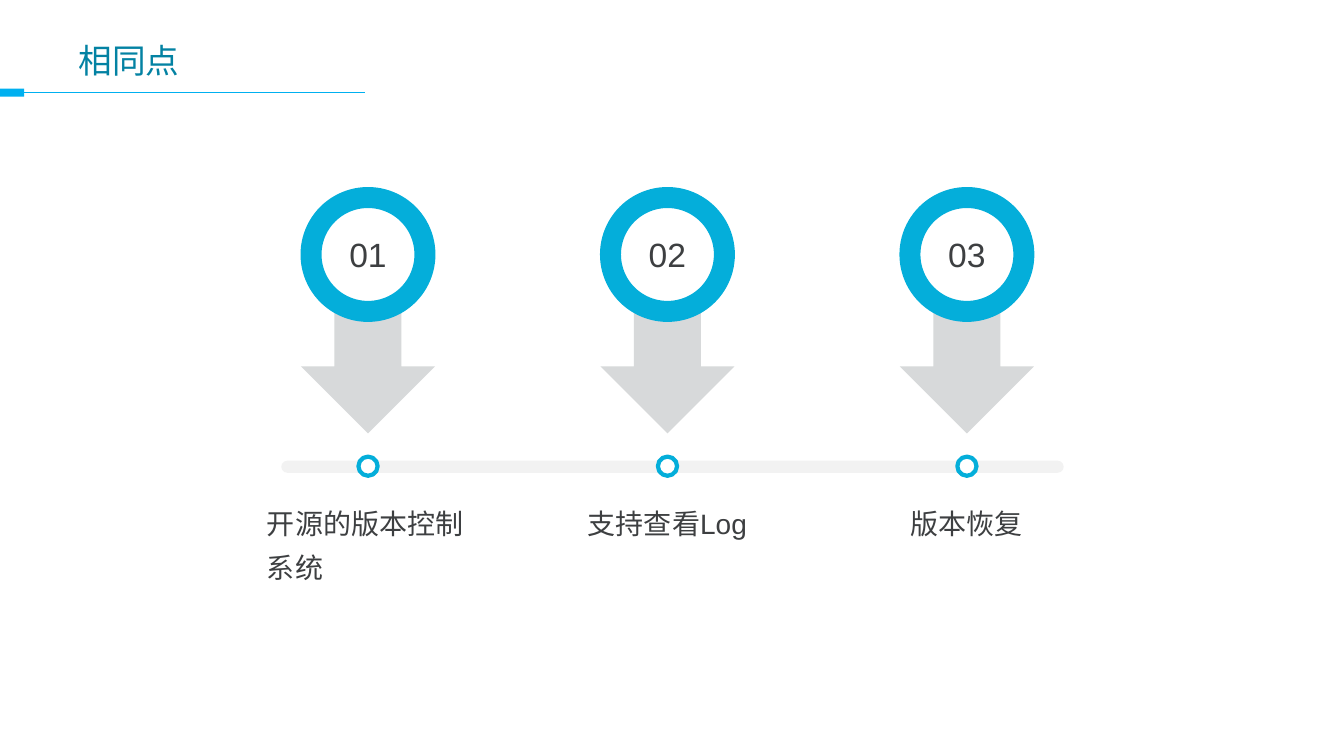
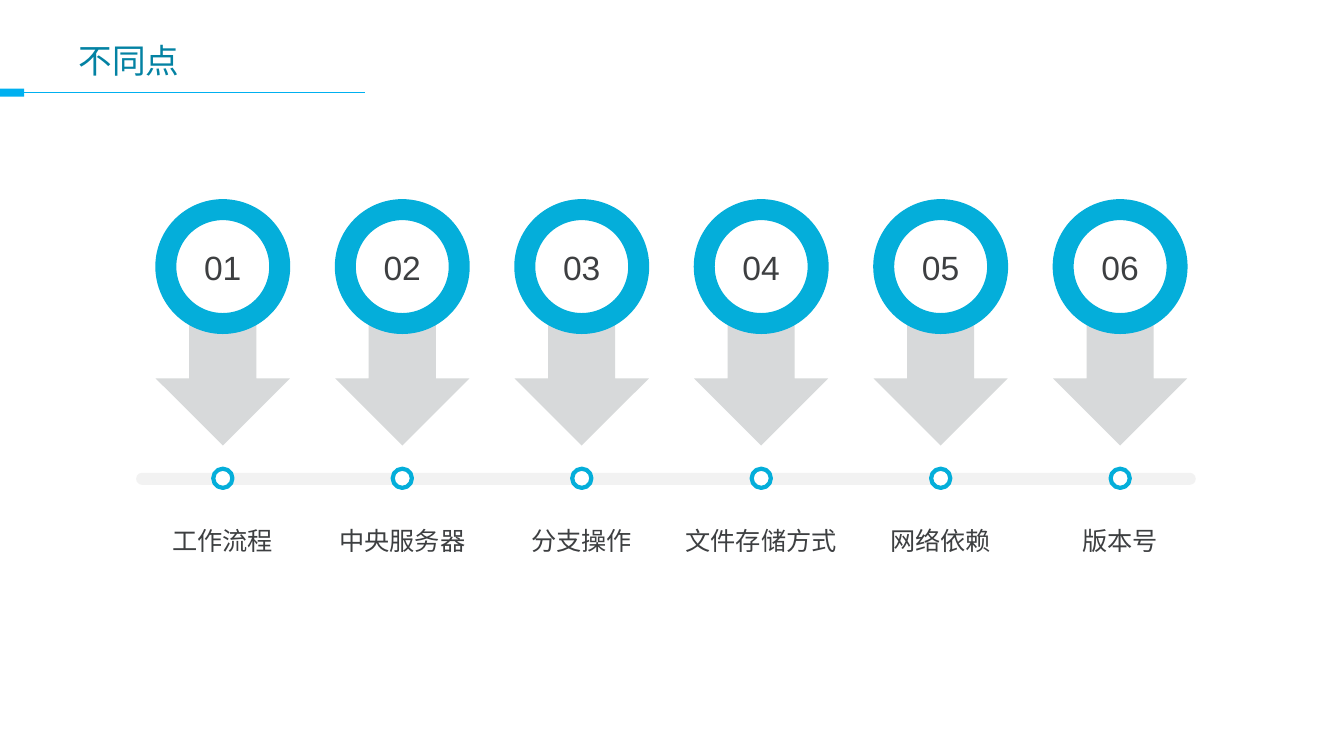
from dataclasses import dataclass

from lxml import etree
from pptx import Presentation
from pptx.dml.color import RGBColor
from pptx.enum.lang import MSO_LANGUAGE_ID
from pptx.enum.shapes import MSO_CONNECTOR, MSO_SHAPE
from pptx.enum.text import MSO_ANCHOR, PP_ALIGN
from pptx.oxml.ns import qn
from pptx.util import Emu, Pt

LEFT, CENTER = PP_ALIGN.LEFT, PP_ALIGN.CENTER
MIDDLE = MSO_ANCHOR.MIDDLE
RECT, ROUND, OVAL = MSO_SHAPE.RECTANGLE, MSO_SHAPE.ROUNDED_RECTANGLE, MSO_SHAPE.OVAL
ARROW = MSO_SHAPE.DOWN_ARROW
CHINESE = MSO_LANGUAGE_ID.SIMPLIFIED_CHINESE

SLIDES = [
    dict(title="相同点",
         labels=["开源的版本控制系统", "支持查看Log", "版本恢复"],
         first_align=LEFT, first_x=365, pitch=297, top=196, bar=(279, 776),
         label_top=488, label_w=220, label_h=141, label_size=20),
    dict(title="不同点",
         labels=["工作流程", "中央服务器", "分支操作", "文件存储方式", "网络依赖", "版本号"],
         first_align=CENTER, first_x=221, pitch=178, top=208, bar=(135, 1051),
         label_top=507, label_w=173, label_h=128, label_size=18),
]


@dataclass(frozen=True)
class Theme:
    font: str = "Arial"
    title: str = "0382A3"
    text: str = "3D3F41"
    ring: str = "04AEDA"
    accent: str = "00B0F0"
    arrow: str = "D7D9DA"
    bar: str = "F2F2F2"
    white: str = "FFFFFF"
    title_size: int = 24
    number_size: int = 24


T = Theme()
RING, DOT, ARROW_W, ARROW_H, BAR_H = 113, 19, 133, 177, 12
ARROW_DY, DOT_DY, BAR_DY = 57, 257, 261   # below the top of the rings


def px(n):
    """One px is a hundredth of an inch."""
    return Emu(round(n * 9144))


def rgb(code):
    return RGBColor.from_string(code)


def write(tf, text, size, color=T.text, align=LEFT, spacing=None):
    tf.word_wrap = True
    p = tf.paragraphs[0]
    p.alignment = align
    if spacing:
        p.line_spacing = spacing
    r = p.add_run()
    r.text = text
    r.font.name, r.font.size, r.font.color.rgb = T.font, Pt(size), rgb(color)
    r.font.language_id = CHINESE


def add_shape(s, kind, x, y, w, h, fill, line=None, width=0):
    sp = s.shapes.add_shape(kind, px(x), px(y), px(w), px(h))
    sp.shadow.inherit = False
    sp.fill.solid()
    sp.fill.fore_color.rgb = rgb(fill)
    if line:
        sp.line.color.rgb = rgb(line)
        sp.line.width = Pt(width)
    else:
        sp.line.fill.background()
    return sp


def style_layout(layout, s):
    """Place the title and move the header band, drawn on s, into the layout."""
    for ph in list(layout.placeholders):
        if ph.placeholder_format.idx:
            ph.element.getparent().remove(ph.element)
    title = layout.placeholders[0]
    title.left, title.top, title.width, title.height = px(68), px(28), px(1200), px(63)
    title.text_frame.vertical_anchor = MIDDLE

    block = add_shape(s, RECT, 0, 88, 24, 8, T.accent)
    rule = s.shapes.add_connector(MSO_CONNECTOR.STRAIGHT, px(362), px(92), px(24), px(92))
    rule.end_connect(block, 3)
    rule.line.color.rgb, rule.line.width = rgb(T.accent), Pt(0.75)
    etree.SubElement(rule.element.spPr, qn("a:effectLst"))
    for sp in (rule, block):
        layout.shapes.element.append(sp.element)


def add_step(s, number, label, cx, page, align):
    top = page["top"]
    add_shape(s, ARROW, cx - ARROW_W / 2, top + ARROW_DY, ARROW_W, ARROW_H, T.arrow)
    ring = add_shape(s, OVAL, cx - RING / 2, top, RING, RING, T.white, T.ring, 15)
    tf = ring.text_frame
    tf.margin_left = tf.margin_top = tf.margin_right = tf.margin_bottom = 0
    tf.vertical_anchor = MIDDLE
    write(tf, f"{number:02}", T.number_size, align=CENTER)
    add_shape(s, OVAL, cx - DOT / 2, top + DOT_DY, DOT, DOT, T.white, T.ring, 3)
    w = page["label_w"]
    box = s.shapes.add_textbox(px(cx - w / 2), px(page["label_top"]), px(w), px(page["label_h"]))
    write(box.text_frame, label, page["label_size"], align=align, spacing=1.3)


def add_timeline(s, page):
    write(s.shapes.title.text_frame, page["title"], T.title_size, T.title)
    x, w = page["bar"]
    bar = add_shape(s, ROUND, x, page["top"] + BAR_DY, w, BAR_H, T.bar)
    bar.adjustments[0] = 0.5
    for i, label in enumerate(page["labels"]):
        align = CENTER if i else page["first_align"]
        add_step(s, i + 1, label, page["first_x"] + i * page["pitch"], page, align)


def main():
    prs = Presentation()
    prs.slide_width, prs.slide_height = px(1333), px(750)
    layout = prs.slide_layouts[5]
    slides = [prs.slides.add_slide(layout) for _ in SLIDES]
    style_layout(layout, slides[0])
    for s, page in zip(slides, SLIDES):
        add_timeline(s, page)
    prs.save("out.pptx")


if __name__ == "__main__":
    main()
